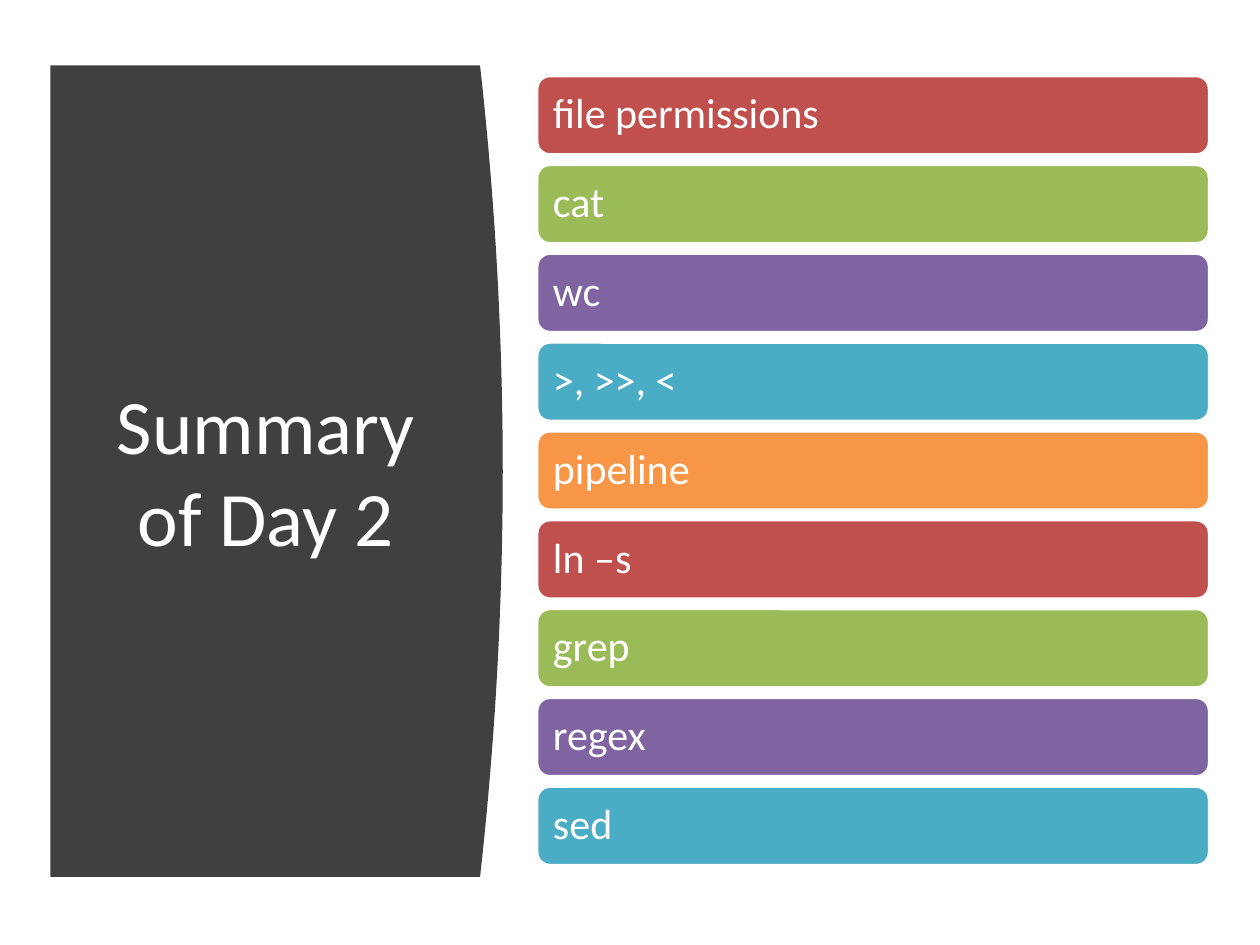
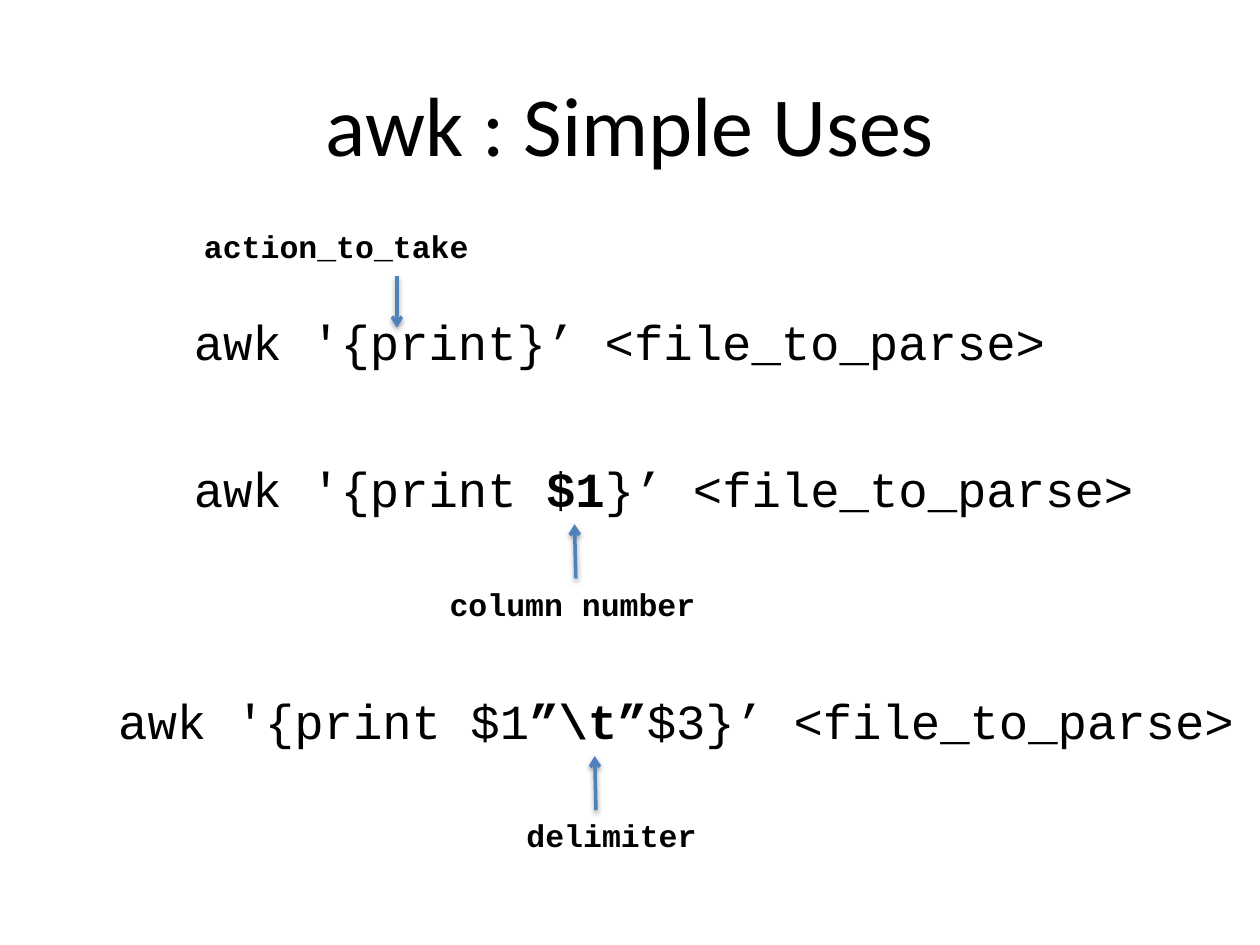
from dataclasses import dataclass

from lxml.etree import SubElement
from pptx import Presentation
from pptx.dml.color import RGBColor
from pptx.enum.shapes import MSO_CONNECTOR, MSO_SHAPE
from pptx.enum.text import MSO_ANCHOR, MSO_AUTO_SIZE, PP_ALIGN
from pptx.oxml.ns import qn
from pptx.util import Inches, Pt


@dataclass(frozen=True)
class Theme:
    heading_font: str = "Calibri"
    code_font: str = "Courier New"
    white: str = "FFFFFF"
    black: str = "000000"
    panel: str = "404040"
    arrow: str = "4F81BD"
    accents: tuple = ("C0504D", "9BBB59", "8064A2", "4BACC6", "F79646")
    panel_title_size: int = 44
    title_size: int = 48
    topic_size: int = 24
    code_size: int = 28
    label_size: int = 18
    line_width: int = 2


class Deck:
    TITLE_ONLY = 5

    def __init__(self, theme):
        self.theme = theme
        self.presentation = Presentation()
        self.presentation.slide_width = Inches(10)
        self.presentation.slide_height = Inches(7.5)
        self.slide = None

    def add_slide(self):
        layout = self.presentation.slide_layouts[self.TITLE_ONLY]
        self.slide = self.presentation.slides.add_slide(layout)

    def format_run(self, run, size, color, font, bold=False):
        run.font.name = font
        run.font.size = Pt(size)
        run.font.bold = bold
        run.font.color.rgb = RGBColor.from_string(color)

    def paint(self, shape, fill):
        shape.shadow.inherit = False
        shape.fill.solid()
        shape.fill.fore_color.rgb = RGBColor.from_string(fill)

    def title(self, text, left, top, width, height, size, color):
        title = self.slide.shapes.title
        title.left, title.top = Inches(left), Inches(top)
        title.width, title.height = Inches(width), Inches(height)
        frame = title.text_frame
        frame.text = text
        frame.auto_size = MSO_AUTO_SIZE.NONE
        frame.vertical_anchor = MSO_ANCHOR.MIDDLE
        frame.paragraphs[0].alignment = PP_ALIGN.CENTER
        self.format_run(frame.paragraphs[0].runs[0], size, color,
                        self.theme.heading_font)

    def curved_panel(self, left, top, width, height, bulge, steps=40):
        """Draw a panel whose right edge swells outward as a parabola."""
        edge = left + width - bulge
        outline = [(left, top)]
        for step in range(steps + 1):
            t = step / steps
            outline.append((edge + bulge * 4 * t * (1 - t), top + height * t))
        outline.append((left, top + height))
        points = [(Inches(x), Inches(y)) for x, y in outline]
        builder = self.slide.shapes.build_freeform(*points[0])
        builder.add_line_segments(points[1:], close=True)
        panel = builder.convert_to_shape()
        self.paint(panel, self.theme.panel)
        panel.line.fill.background()
        # Keep the panel behind the title placeholder.
        self.slide.shapes.title._element.addprevious(panel._element)

    def topic_bar(self, text, left, top, width, height, fill):
        bar = self.slide.shapes.add_shape(
            MSO_SHAPE.ROUNDED_RECTANGLE,
            Inches(left), Inches(top), Inches(width), Inches(height))
        self.paint(bar, fill)
        bar.line.color.rgb = RGBColor.from_string(self.theme.white)
        bar.line.width = Pt(self.theme.line_width)
        frame = bar.text_frame
        frame.text = text
        frame.vertical_anchor = MSO_ANCHOR.MIDDLE
        frame.margin_left = frame.margin_right = Inches(0.1)
        paragraph = frame.paragraphs[0]
        paragraph.alignment = PP_ALIGN.LEFT
        paragraph.line_spacing = 0.9
        self.format_run(paragraph.runs[0], self.theme.topic_size,
                        self.theme.white, self.theme.heading_font)

    def code(self, parts, left, top, width, height, size):
        """Write one code line from (text, bold) parts."""
        box = self.slide.shapes.add_textbox(
            Inches(left), Inches(top), Inches(width), Inches(height))
        frame = box.text_frame
        frame.word_wrap = False
        frame.auto_size = MSO_AUTO_SIZE.SHAPE_TO_FIT_TEXT
        for text, bold in parts:
            run = frame.paragraphs[0].add_run()
            run.text = text
            self.format_run(run, size, self.theme.black,
                            self.theme.code_font, bold)

    def command(self, parts, left, top, width):
        self.code(parts, left, top, width, 0.57, self.theme.code_size)

    def label(self, text, left, top, width):
        self.code([(text, True)], left, top, width, 0.4,
                  self.theme.label_size)

    def arrow(self, x1, y1, x2, y2):
        arrow = self.slide.shapes.add_connector(
            MSO_CONNECTOR.STRAIGHT,
            Inches(x1), Inches(y1), Inches(x2), Inches(y2))
        arrow.line.color.rgb = RGBColor.from_string(self.theme.arrow)
        arrow.line.width = Pt(self.theme.line_width)
        properties = arrow._element.spPr
        SubElement(properties.find(qn("a:ln")), qn("a:tailEnd"), type="arrow")
        effects = SubElement(properties, qn("a:effectLst"))
        shadow = SubElement(
            effects, qn("a:outerShdw"), blurRad=str(Pt(3.1)),
            dist=str(Pt(1.6)), dir="5400000", rotWithShape="0")
        shade = SubElement(shadow, qn("a:srgbClr"), val=self.theme.black)
        SubElement(shade, qn("a:alpha"), val="38000")

    def save(self):
        self.presentation.save("out.pptx")


def build_summary(deck):
    theme = deck.theme
    deck.add_slide()
    deck.curved_panel(0.4, 0.52, 3.59, 6.44, bulge=0.18)
    deck.title("Summary of Day 2", 0.71, 1.11, 2.8, 5.24,
               theme.panel_title_size, theme.white)
    topics = ["file permissions", "cat", "wc", ">, >>, <", "pipeline",
              "ln –s", "grep", "regex", "sed"]
    first_top, last_top = 0.6, 6.24
    pitch = (last_top - first_top) / (len(topics) - 1)
    for index, topic in enumerate(topics):
        accent = theme.accents[index % len(theme.accents)]
        deck.topic_bar(topic, 4.26, first_top + index * pitch, 5.34, 0.63,
                       accent)


def build_awk_uses(deck):
    theme = deck.theme
    target = "}’ <file_to_parse>"
    deck.add_slide()
    deck.title("awk : Simple Uses", 0.5, 0.35, 9, 1.25,
               theme.title_size, theme.black)

    deck.command([("awk '{print" + target, False)], 1.44, 2.42, 7.04)
    deck.label("action_to_take", 1.52, 1.75, 2.32)
    deck.arrow(3.15, 2.19, 3.15, 2.6)

    deck.command([("awk '{print ", False), ("$1", True), (target, False)],
                 1.44, 3.59, 7.74)
    deck.label("column number", 3.47, 4.59, 2.17)
    deck.arrow(4.57, 4.59, 4.56, 4.16)

    deck.command([("awk '{print $1", False), ("”\\t”", True),
                  ("$3" + target, False)], 0.84, 5.43, 9.16)
    deck.label("delimiter", 4.08, 6.43, 1.57)
    deck.arrow(4.73, 6.43, 4.72, 6)


def main():
    deck = Deck(Theme())
    build_summary(deck)
    build_awk_uses(deck)
    deck.save()


if __name__ == "__main__":
    main()
